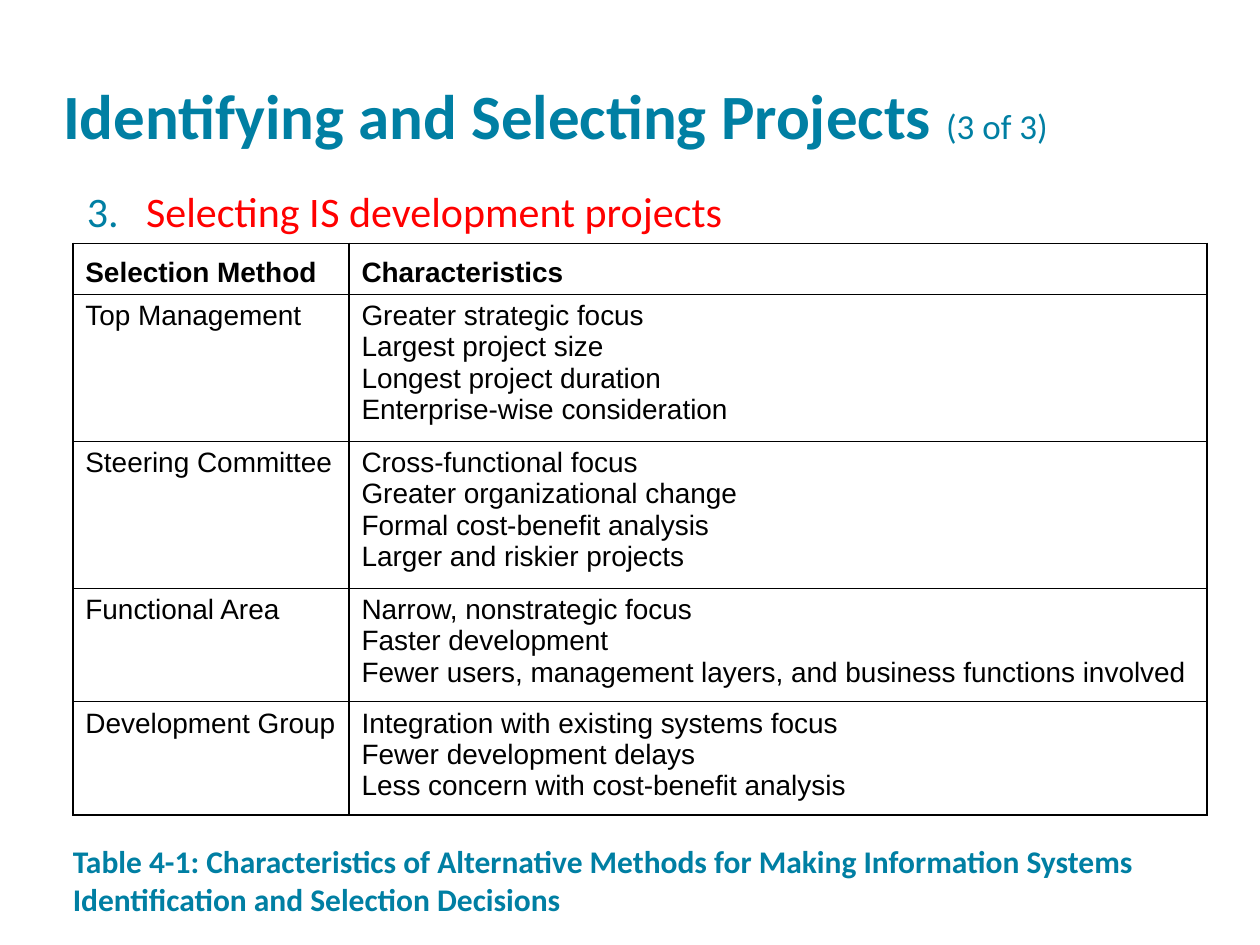
"""Build the slide on methods of selecting projects, with its table and caption."""
from lxml import etree
from pptx import Presentation
from pptx.dml.color import RGBColor
from pptx.enum.text import MSO_ANCHOR
from pptx.oxml import parse_xml
from pptx.oxml.ns import qn
from pptx.util import Pt

TOP, BOTTOM = MSO_ANCHOR.TOP, MSO_ANCHOR.BOTTOM
COLORS = {"teal": "007FA3", "red": "FF0000", "black": "000000"}
NAMESPACE = "http://schemas.openxmlformats.org/drawingml/2006/main"


def add_span(para, text, size=16, color="black", font="Calibri", bold=False):
    span = para.add_run()
    span.text = text
    span.font.size = Pt(size)
    span.font.name = font
    span.font.bold = bold
    span.font.color.rgb = RGBColor.from_string(COLORS[color])


def add_box(left, top, width, height, anchor):
    frame = page.shapes.add_textbox(Pt(left), Pt(top), Pt(width), Pt(height)).text_frame
    frame.word_wrap = True
    frame.vertical_anchor = anchor
    frame.margin_left = frame.margin_right = frame.margin_top = frame.margin_bottom = 0
    return frame.paragraphs[0]


deck = Presentation()
deck.slide_width, deck.slide_height = Pt(720), Pt(540)
page = deck.slides.add_slide(deck.slide_layouts[6])

title = add_box(36, 17.3, 658.8, 69.8, BOTTOM)
add_span(title, "Identifying and Selecting Projects ", size=36, color="teal", bold=True)
add_span(title, "(3 of 3)", size=20, color="teal")

heading = add_box(25.2, 109.4, 648, 30.2, TOP)
heading.line_spacing = 0.9
properties = heading._p.get_or_add_pPr()
properties.set("marL", str(Pt(58.3)))
properties.set("indent", str(Pt(-33.8)))
number_color = etree.SubElement(properties, qn("a:buClr"))
etree.SubElement(number_color, qn("a:srgbClr"), val=COLORS["teal"])
etree.SubElement(properties, qn("a:buFont"), typeface="Calibri")
etree.SubElement(properties, qn("a:buAutoNum"), type="arabicPeriod", startAt="3")
for text, size in [("Selecting I", 24), (" ", 1), ("S development projects", 24)]:
    add_span(heading, text, size=size, color="red")

rows = [
    ("Selection Method", ["Characteristics"]),
    ("Top Management", ["Greater strategic focus", "Largest project size",
                        "Longest project duration", "Enterprise-wise consideration"]),
    ("Steering Committee", ["Cross-functional focus", "Greater organizational change",
                            "Formal cost-benefit analysis", "Larger and riskier projects"]),
    ("Functional Area", ["Narrow, nonstrategic focus", "Faster development",
                         "Fewer users, management layers, and business functions involved"]),
    ("Development Group", ["Integration with existing systems focus", "Fewer development delays",
                           "Less concern with cost-benefit analysis"]),
]
heights = [29.2] + [17.9 * len(lines) + 7 for method, lines in rows[1:]]
table = page.shapes.add_table(len(rows), 2, Pt(41.6), Pt(139), Pt(648), Pt(sum(heights))).table
table.first_row = table.horz_banding = False
for column, width in zip(table.columns, [157.8, 490.2]):
    column.width = Pt(width)

for row_index, (method, lines) in enumerate(rows):
    table.rows[row_index].height = Pt(heights[row_index])
    is_header = row_index == 0
    for column_index, texts in enumerate([[method], lines]):
        cell = table.cell(row_index, column_index)
        cell.vertical_anchor = BOTTOM if is_header else TOP
        cell.fill.background()
        for text_index, text in enumerate(texts):
            frame = cell.text_frame
            para = frame.add_paragraph() if text_index else frame.paragraphs[0]
            add_span(para, text, font="Arial", bold=is_header)
        for position, side in enumerate(["lnL", "lnR", "lnT", "lnB"]):
            border = parse_xml(
                f'<a:{side} xmlns:a="{NAMESPACE}" w="{Pt(1)}"><a:solidFill>'
                f'<a:srgbClr val="{COLORS["black"]}"/></a:solidFill></a:{side}>')
            cell._tc.get_or_add_tcPr().insert(position, border)

caption = add_box(41.6, 473.8, 648, 50.4, BOTTOM)
add_span(caption, "Table 4-1: Characteristics of Alternative Methods for Making Information "
         "Systems Identification and Selection Decisions", size=18, color="teal", bold=True)

deck.save("out.pptx")
